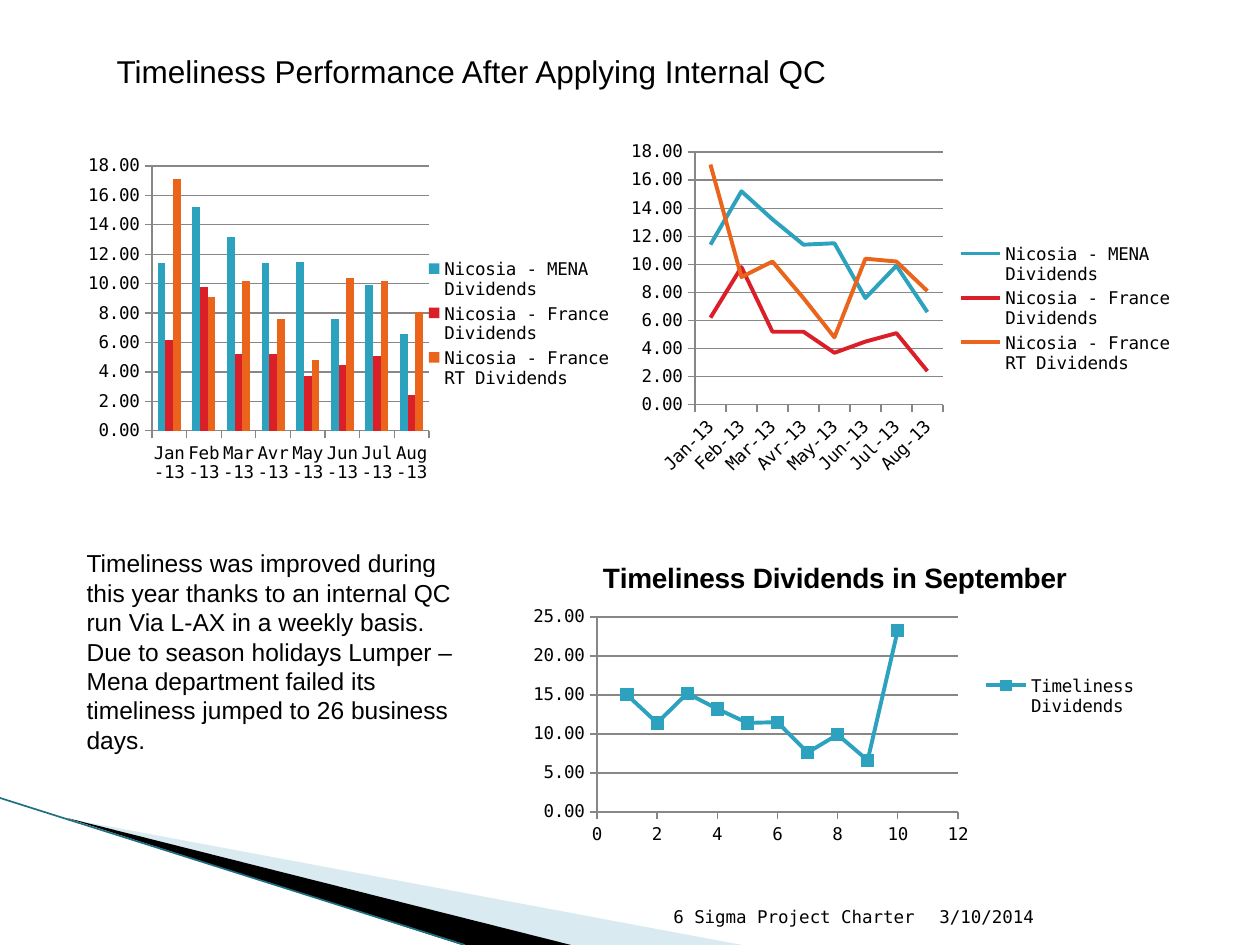
from dataclasses import dataclass
from typing import Optional

from lxml.etree import SubElement
from pptx import Presentation
from pptx.chart.data import CategoryChartData, XyChartData
from pptx.dml.color import RGBColor
from pptx.enum.chart import XL_CHART_TYPE as ChartType
from pptx.enum.chart import XL_LEGEND_POSITION as LegendPosition
from pptx.enum.chart import XL_MARKER_STYLE as MarkerStyle
from pptx.enum.chart import XL_TICK_MARK as TickMark
from pptx.enum.shapes import MSO_CONNECTOR as Connector
from pptx.enum.text import MSO_ANCHOR as Anchor
from pptx.enum.text import MSO_AUTO_SIZE as AutoSize
from pptx.enum.text import PP_ALIGN as Align
from pptx.oxml.ns import qn
from pptx.util import Pt

EMU_PER_PX = 914400 / 126


@dataclass(frozen=True)
class Theme:
    text: str = "000000"
    grid: str = "878787"
    pale_wedge: str = "A0CBDC"
    dark_wedge: str = "000000"
    edge: str = "1F6F84"
    series: tuple = ("2DA2BF", "DA1F28", "EB641B")
    sans: str = "Arial"
    mono: str = "DejaVu Sans Mono"
    title_size: int = 18
    chart_title_size: int = 16
    body_size: int = 14
    small_size: int = 10


@dataclass(frozen=True)
class Box:
    left: int
    top: int
    width: int
    height: int

    def emu(self) -> tuple:
        return tuple(px(n) for n in (self.left, self.top, self.width, self.height))


@dataclass(frozen=True)
class ChartSpec:
    kind: ChartType
    frame: Box
    plot: Box
    title: Optional[str] = None


@dataclass(frozen=True)
class Footer:
    text: str
    box: Box
    align: Align


THEME = Theme()
MONTHS = [f"{month}-13" for month in "Jan Feb Mar Avr May Jun Jul Aug".split()]
DIVIDENDS = {
    "Nicosia - MENA Dividends": (11.4, 15.2, 13.2, 11.4, 11.5, 7.6, 9.9, 6.6),
    "Nicosia - France Dividends": (6.2, 9.8, 5.2, 5.2, 3.7, 4.5, 5.1, 2.4),
    "Nicosia - France RT Dividends": (17.1, 9.1, 10.2, 7.6, 4.8, 10.4, 10.2, 8.1),
}
SEPTEMBER = (15, 11.4, 15.2, 13.2, 11.4, 11.5, 7.6, 9.9, 6.6, 23.3)
CHARTS = (
    ChartSpec(ChartType.COLUMN_CLUSTERED, Box(64, 135, 561, 378), Box(152, 166, 277, 265)),
    ChartSpec(ChartType.LINE, Box(620, 135, 566, 348), Box(695, 152, 248, 253)),
    ChartSpec(ChartType.XY_SCATTER_LINES, Box(520, 542, 630, 309), Box(597, 617, 361, 195),
              "Timeliness Dividends in September"),
)
FOOTERS = (
    Footer("3/10/2014", Box(927, 883, 265, 50), Align.LEFT),
    Footer("6 Sigma Project Charter", Box(604, 883, 323, 50), Align.RIGHT),
)
TITLE = "Timeliness Performance After Applying Internal QC"
BODY = (
    "Timeliness was improved during this year thanks to an internal QC run Via L-AX "
    "in a weekly basis. Due to season holidays Lumper – Mena department failed its "
    "timeliness jumped to 26 business days."
)


def px(length: float) -> int:
    return round(length * EMU_PER_PX)


def rgb(color: str) -> RGBColor:
    return RGBColor.from_string(color)


def style_font(font, size: int, name: str, bold: bool = False) -> None:
    font.size, font.name, font.bold = Pt(size), name, bold
    font.color.rgb = rgb(THEME.text)


def write_text(shape, text: str, box: Box, size: int, name: str,
               align: Align = Align.LEFT, anchor: Anchor = Anchor.TOP) -> None:
    shape.left, shape.top, shape.width, shape.height = box.emu()
    frame = shape.text_frame
    frame.text = text
    frame.word_wrap, frame.auto_size = True, AutoSize.NONE
    frame.vertical_anchor = anchor
    paragraph = frame.paragraphs[0]
    paragraph.alignment, paragraph.space_before = align, Pt(0)
    style_font(paragraph.font, size, name)


def remove_bullet(paragraph) -> None:
    properties = paragraph._p.get_or_add_pPr()
    properties.set("marL", "0")
    properties.set("indent", "0")
    SubElement(properties, qn("a:buNone"))


def draw_wedge(slide, points: list, color: str, alpha: int = 100) -> None:
    builder = slide.shapes.build_freeform(*points[0], scale=EMU_PER_PX)
    builder.add_line_segments(points[1:], close=True)
    shape = builder.convert_to_shape()
    shape.shadow.inherit = False
    shape.line.fill.background()
    shape.fill.solid()
    shape.fill.fore_color.rgb = rgb(color)
    if alpha < 100:
        color_node = shape._element.spPr.find(f".//{qn('a:srgbClr')}")
        SubElement(color_node, qn("a:alpha")).set("val", str(alpha * 1000))


def draw_corner(slide) -> None:
    draw_wedge(slide, [(69, 819), (742, 945), (568, 945)], THEME.pale_wedge, 40)
    draw_wedge(slide, [(67, 818), (571, 945), (462, 945)], THEME.dark_wedge)
    edge = slide.shapes.add_connector(Connector.STRAIGHT, px(0), px(798), px(465), px(945))
    edge.line.color.rgb, edge.line.width = rgb(THEME.edge), Pt(0.95)
    SubElement(edge._element.spPr, qn("a:effectLst"))


def chart_data(kind: ChartType):
    if kind == ChartType.XY_SCATTER_LINES:
        data = XyChartData(number_format="0.00")
        series = data.add_series("Timeliness Dividends")
        for x, y in enumerate(SEPTEMBER, start=1):
            series.add_data_point(x, y)
        return data
    data = CategoryChartData(number_format="0.00")
    data.categories = MONTHS
    for name, values in DIVIDENDS.items():
        data.add_series(name, values)
    return data


def place_plot(chart, frame: Box, plot: Box) -> None:
    area = chart._chartSpace.chart.plotArea
    for old in area.findall(qn("c:layout")):
        area.remove(old)
    layout = SubElement(area, qn("c:layout"))
    area.insert(0, layout)
    manual = SubElement(layout, qn("c:manualLayout"))
    settings = {
        "layoutTarget": "inner", "xMode": "edge", "yMode": "edge",
        "x": (plot.left - frame.left) / frame.width,
        "y": (plot.top - frame.top) / frame.height,
        "w": plot.width / frame.width,
        "h": plot.height / frame.height,
    }
    for tag, value in settings.items():
        SubElement(manual, qn(f"c:{tag}")).set("val", str(value))


def style_axes(chart) -> None:
    for axis in (chart.category_axis, chart.value_axis):
        axis.major_tick_mark, axis.minor_tick_mark = TickMark.OUTSIDE, TickMark.NONE
        axis.format.line.color.rgb, axis.format.line.width = rgb(THEME.grid), Pt(0.75)
    chart.category_axis.has_major_gridlines = False
    value_axis = chart.value_axis
    value_axis.has_major_gridlines = True
    grid = value_axis.major_gridlines.format.line
    grid.color.rgb, grid.width = rgb(THEME.grid), Pt(0.75)
    value_axis.tick_labels.number_format = "0.00"
    value_axis.tick_labels.number_format_is_linked = False


def style_series(series, kind: ChartType, color: str) -> None:
    if kind == ChartType.COLUMN_CLUSTERED:
        series.format.fill.solid()
        series.format.fill.fore_color.rgb = rgb(color)
        return
    series.smooth = False
    series.format.line.color.rgb, series.format.line.width = rgb(color), Pt(2.25)
    if kind == ChartType.XY_SCATTER_LINES:
        marker = series.marker
        marker.style, marker.size = MarkerStyle.SQUARE, 7
        marker.format.fill.solid()
        marker.format.fill.fore_color.rgb = rgb(color)
        marker.format.line.color.rgb = rgb(color)


def draw_chart(slide, spec: ChartSpec) -> None:
    chart = slide.shapes.add_chart(spec.kind, *spec.frame.emu(), chart_data(spec.kind)).chart
    style_font(chart.font, THEME.small_size, THEME.mono)
    chart.has_title = spec.title is not None
    if spec.title:
        chart.chart_title.text_frame.text = spec.title
        style_font(chart.chart_title.text_frame.paragraphs[0].font,
                   THEME.chart_title_size, THEME.sans, bold=True)
    chart.has_legend = True
    chart.legend.position, chart.legend.include_in_layout = LegendPosition.RIGHT, False
    style_axes(chart)
    plot = chart.plots[0]
    plot.vary_by_categories = False
    if spec.kind == ChartType.COLUMN_CLUSTERED:
        plot.gap_width, plot.overlap = 150, 0
    for series, color in zip(plot.series, THEME.series):
        style_series(series, spec.kind, color)
    place_plot(chart, spec.frame, spec.plot)


def main() -> None:
    presentation = Presentation()
    presentation.slide_width, presentation.slide_height = px(1260), px(945)
    slide = presentation.slides.add_slide(presentation.slide_layouts[1])
    draw_corner(slide)
    for footer in FOOTERS:
        write_text(slide.shapes.add_textbox(*footer.box.emu()), footer.text, footer.box,
                   THEME.small_size, THEME.mono, footer.align, Anchor.BOTTOM)
    write_text(slide.shapes.title, TITLE, Box(104, 46, 853, 50), THEME.title_size, THEME.sans)
    body = slide.placeholders[1]
    write_text(body, BODY, Box(74, 542, 407, 220), THEME.body_size, THEME.sans)
    remove_bullet(body.text_frame.paragraphs[0])
    for spec in CHARTS:
        draw_chart(slide, spec)
    presentation.save("out.pptx")


if __name__ == "__main__":
    main()
